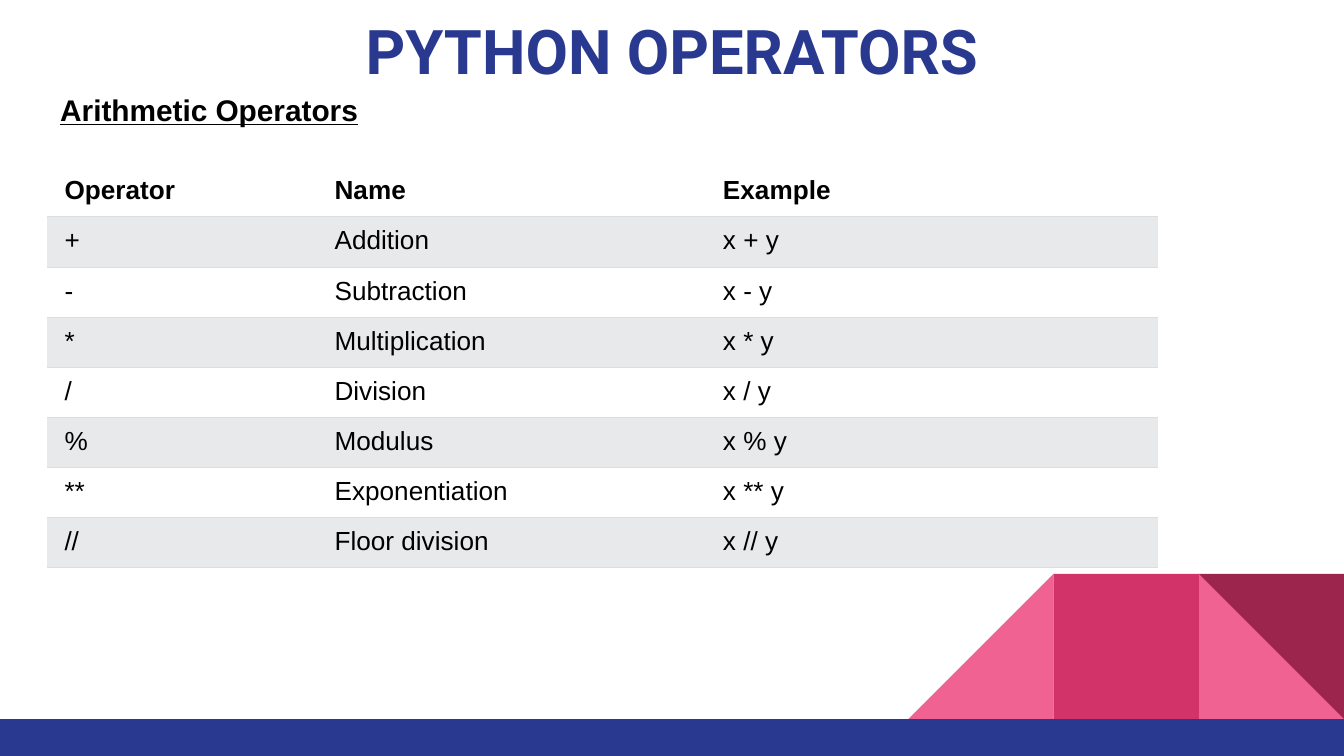
import lxml.etree
import pptx
import pptx.dml.color
import pptx.enum.shapes
import pptx.enum.text
import pptx.oxml.ns
import pptx.util

Inches = pptx.util.Inches
SHAPE = pptx.enum.shapes.MSO_SHAPE
ALIGN = pptx.enum.text.PP_ALIGN

COLORS = {
    "navy": "2A3990",
    "pink": "F06292",
    "rose": "D23369",
    "wine": "9C254D",
    "black": "000000",
    "white": "FFFFFF",
    "band": "E7E9EB",
    "rule": "DDDDDD",
}
TITLE = {"name": "Roboto", "size": pptx.util.Pt(33), "bold": True}
HEADING = {"name": "Arial", "size": pptx.util.Pt(16), "bold": True, "underline": True}
HEADER = {"name": "Arial", "size": pptx.util.Pt(14), "bold": True}
BODY = {**HEADER, "bold": False}

OPERATORS = [
    ("Operator", "Name", "Example"),
    ("+", "Addition", "x + y"),
    ("-", "Subtraction", "x - y"),
    ("*", "Multiplication", "x * y"),
    ("/", "Division", "x / y"),
    ("%", "Modulus", "x % y"),
    ("**", "Exponentiation", "x ** y"),
    ("//", "Floor division", "x // y"),
]
COLUMN_WIDTHS = [2.07, 2.89, 2.48, 0.83]


def rgb(color):
    return pptx.dml.color.RGBColor.from_string(COLORS[color])


class SlideBuilder:
    def __init__(self, slide):
        self.slide = slide

    def styled_run(self, paragraph, text, style, color):
        run = paragraph.add_run()
        run.text = text
        for attribute, value in style.items():
            setattr(run.font, attribute, value)
        run.font.color.rgb = rgb(color)

    def block(self, kind, box, color):
        block = self.slide.shapes.add_shape(kind, *map(Inches, box))
        block.shadow.inherit = False
        block.fill.solid()
        block.fill.fore_color.rgb = rgb(color)
        block.line.fill.background()
        return block

    def text(self, box, text, style, color, align=ALIGN.LEFT):
        frame = self.slide.shapes.add_textbox(*map(Inches, box)).text_frame
        frame.word_wrap = True
        for side in ("left", "top", "right", "bottom"):
            setattr(frame, f"margin_{side}", Inches(0.1))
        frame.paragraphs[0].alignment = align
        self.styled_run(frame.paragraphs[0], text, style, color)

    def borders(self, cell, ruled):
        """Draw a thin rule on the ruled sides (L, R, T, B) and clear the others."""
        properties = cell._tc.get_or_add_tcPr()
        qn = pptx.oxml.ns.qn
        for side in "LRTB":
            line = lxml.etree.SubElement(properties, qn(f"a:ln{side}"), w="7620")
            if side in ruled:
                fill = lxml.etree.SubElement(line, qn("a:solidFill"))
                lxml.etree.SubElement(fill, qn("a:srgbClr"), val=COLORS["rule"])
            else:
                lxml.etree.SubElement(line, qn("a:noFill"))

    def table(self, box, rows, widths):
        table = self.slide.shapes.add_table(
            len(rows), len(widths), *map(Inches, box)).table
        table.first_row = table.horz_banding = False
        for column, width in zip(table.columns, widths):
            column.width = Inches(width)
        for r, row in enumerate(rows):
            for c in range(len(widths)):
                cell = table.cell(r, c)
                self.borders(cell, "TB" if r else "B")
                cell.fill.solid()
                cell.fill.fore_color.rgb = rgb("band" if r % 2 else "white")
                # The empty last column takes no margin, so rows keep their height.
                margin = 0.07 if c < len(row) else 0
                for side in ("left", "top", "right", "bottom"):
                    setattr(cell, f"margin_{side}", Inches(margin))
                if c == 0:
                    cell.margin_left = Inches(0.13)
                if c < len(row):
                    self.styled_run(cell.text_frame.paragraphs[0], row[c],
                                    BODY if r else HEADER, "black")


def main():
    presentation = pptx.Presentation()
    presentation.slide_width = Inches(10)
    presentation.slide_height = Inches(10) * 9 // 16
    builder = SlideBuilder(presentation.slides.add_slide(presentation.slide_layouts[6]))

    tile, top, right = 1.08, 4.27, 10
    third, second, first = [(right - n * tile, top, tile, tile) for n in (1, 2, 3)]
    builder.block(SHAPE.RIGHT_TRIANGLE, third, "pink")
    left_slope = builder.block(SHAPE.RIGHT_TRIANGLE, first, "pink")
    left_slope._element.spPr.get_or_add_xfrm().set("flipH", "1")
    builder.block(SHAPE.RECTANGLE, second, "rose")
    builder.block(SHAPE.RIGHT_TRIANGLE, third, "wine").rotation = 180
    builder.block(SHAPE.RECTANGLE, (0, top + tile, right, 0.28), "navy")

    builder.text((0, 0, 10, 0.66), "PYTHON OPERATORS", TITLE, "navy", ALIGN.CENTER)
    builder.text((0.35, 0.58, 9.3, 0.47), "Arithmetic Operators", HEADING, "black")
    builder.table((0.35, 1.24, sum(COLUMN_WIDTHS), 2.93), OPERATORS, COLUMN_WIDTHS)

    presentation.save("out.pptx")


if __name__ == "__main__":
    main()
